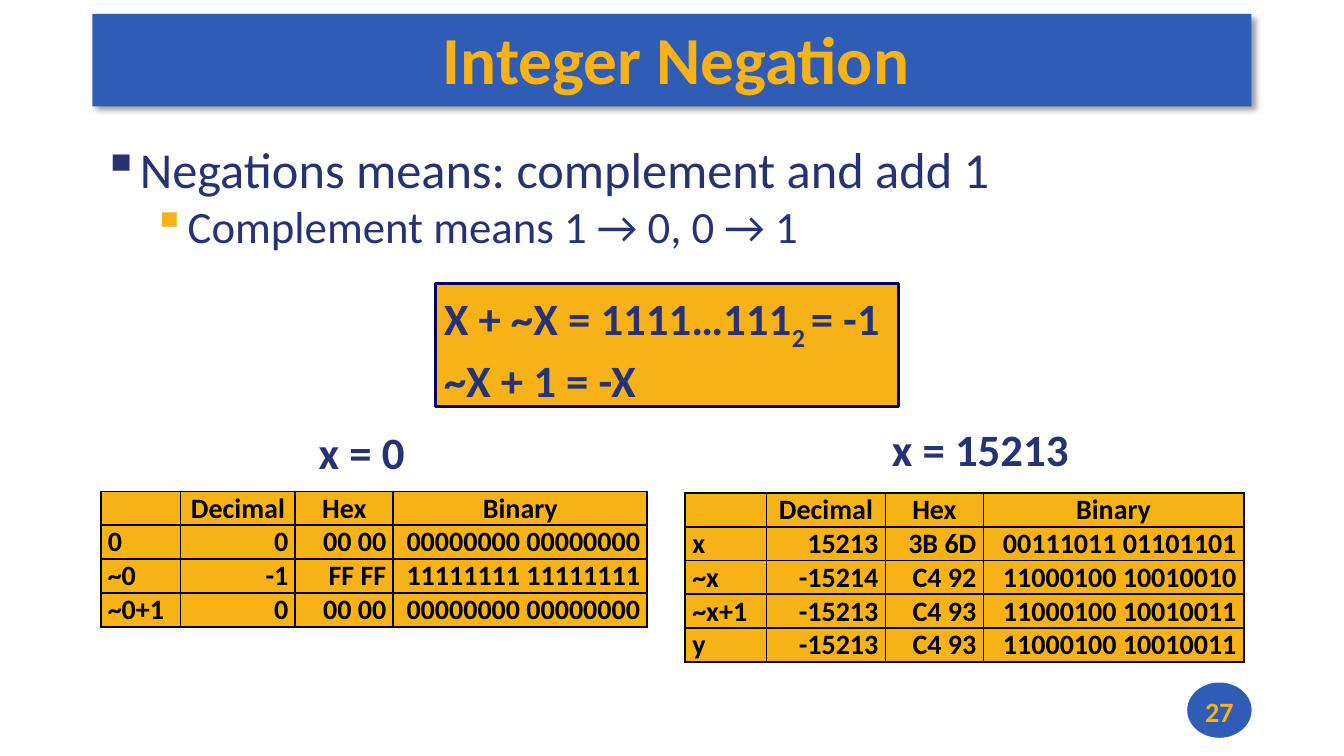
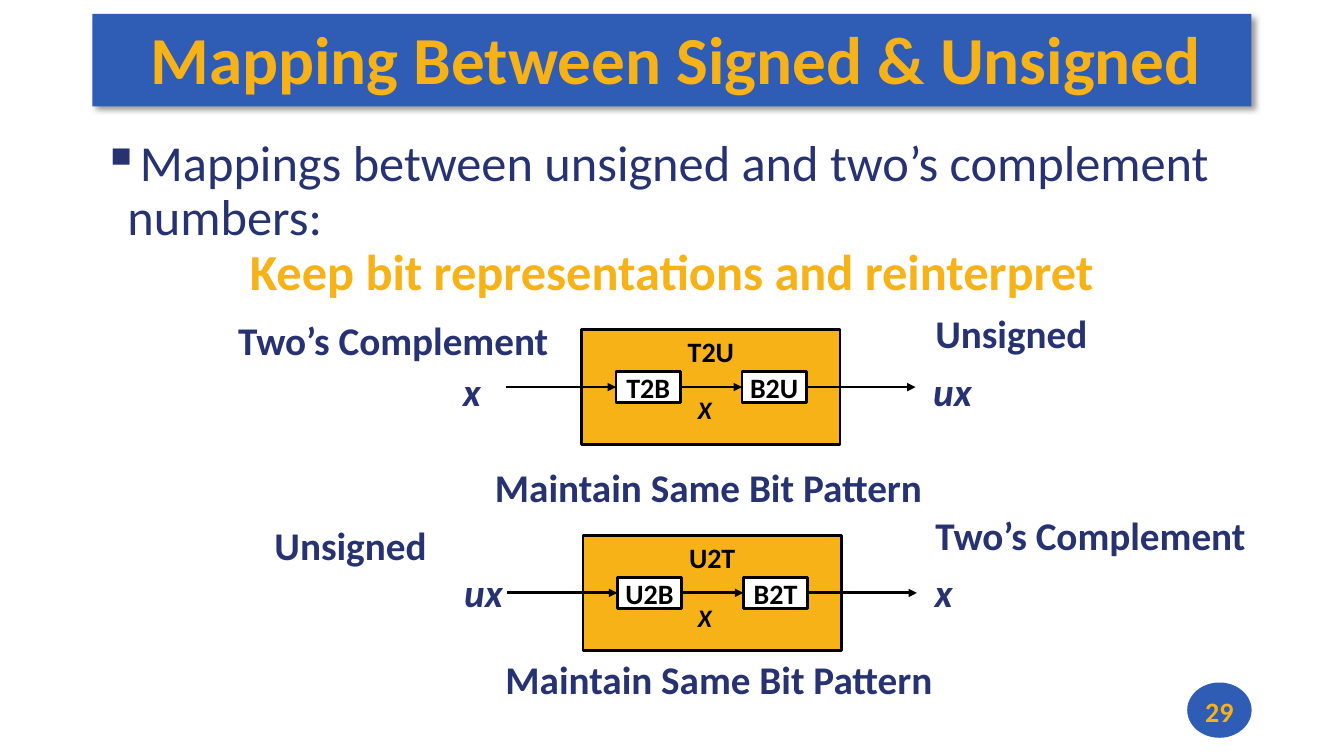
from lxml.etree import SubElement
from pptx import Presentation
from pptx.dml.color import RGBColor
from pptx.enum.shapes import MSO_CONNECTOR, MSO_SHAPE
from pptx.enum.text import MSO_ANCHOR, PP_ALIGN
from pptx.oxml import parse_xml
from pptx.oxml.ns import nsdecls, qn
from pptx.util import Pt

# Shared look
BLUE = RGBColor(0x2F, 0x5C, 0xB5)
GOLD = RGBColor(0xF7, 0xB2, 0x17)
NAVY = RGBColor(0x27, 0x32, 0x72)
DEEP_NAVY = RGBColor(0x00, 0x00, 0x66)
BLACK = RGBColor(0, 0, 0)
WHITE = RGBColor(0xFF, 0xFF, 0xFF)
FONT = "Calibri"
BANNER = (66, 10, 828, 66)
BADGE = (848, 487.5, 46, 39.5)
INSETS = (7.2, 3.6, 7.2, 3.6)
ROW_HEIGHT = 24.2

# Slide 1 content
NEGATION_POINTS = [
    # text, level, left margin, hanging indent, size, bullet colour
    ("Negations means: complement and add 1", 0, 20, 20, 36, NAVY),
    ("Complement means 1 → 0, 0 → 1", 1, 61, 25, 32, GOLD),
]
FORMULA_BOX = (311, 202.5, 331, 88)
FORMULAS = [[("X + ~X = 1111…111", 0), ("2 ", -25), ("= -1", 0)],
            [("~X + 1 = -X", 0)]]
HEADER = ("", "Decimal", "Hex", "Binary")
EXAMPLES = [
    {"label": "x = 0", "label_box": (220.5, 300, 76.5, 46),
     "corner": (72, 351), "columns": (57, 82, 70, 181.5),
     "rows": [("0", "0", "00 00", "00000000 00000000"),
              ("~0", "-1", "FF FF", "11111111 11111111"),
              ("~0+1", "0", "00 00", "00000000 00000000")]},
    {"label": "x = 15213", "label_box": (630, 298, 141, 46),
     "corner": (489.5, 352), "columns": (58, 85, 70, 186),
     "rows": [("x", "15213", "3B 6D", "00111011 01101101"),
              ("~x", "-15214", "C4 92", "11000100 10010010"),
              ("~x+1", "-15213", "C4 93", "11000100 10010011"),
              ("y", "-15213", "C4 93", "11000100 10010011")]},
]

# Slide 2 content
MAPPING_POINT = "Mappings between unsigned and two’s complement numbers:"
MAPPING_RULE = "Keep bit representations and reinterpret"
TWOS, UNSIGNED, SAME = "Two’s Complement", "Unsigned", "Maintain Same Bit Pattern"
LABEL_WIDTHS = {TWOS: 238, UNSIGNED: 124, SAME: 324, "x": 27.5, "ux": 42.5}
MAPPINGS = [
    {"corner": (415.5, 235.5), "name": "T2U", "steps": ("T2B", "B2U"),
     "bits_top": 278,
     "labels": [(TWOS, 163, 222.5), (UNSIGNED, 661, 217.5), (SAME, 346.5, 327.5)],
     "values": [("x", 323.5, 258.5), ("ux", 659.5, 258.5)]},
    {"corner": (416.5, 382.5), "name": "U2T", "steps": ("U2B", "B2T"),
     "bits_top": 427,
     "labels": [(UNSIGNED, 189, 368.5), (TWOS, 661, 362), (SAME, 354, 464.5)],
     "values": [("ux", 324.5, 402.5), ("x", 660.5, 402.5)]},
]


def style(paragraph, size, color, bold=False, italic=False):
    for span in paragraph.runs:
        font = span.font
        font.name, font.size, font.bold, font.italic = FONT, Pt(size), bold, italic
        font.color.rgb = color


def set_frame(frame, anchor=MSO_ANCHOR.TOP, insets=INSETS, wrap=True):
    frame.word_wrap = wrap
    frame.vertical_anchor = anchor
    (frame.margin_left, frame.margin_top,
     frame.margin_right, frame.margin_bottom) = map(Pt, insets)
    return frame


def add_box(page, kind, place, fill, line=None):
    box = page.shapes.add_shape(kind, *map(Pt, place))
    box.shadow.inherit = False
    box.fill.solid()
    box.fill.fore_color.rgb = fill
    if line is None:
        box.line.fill.background()
    else:
        box.line.color.rgb = line
        box.line.width = Pt(2)
    return box


def write_centred(box, text, size, color, **layout):
    paragraph = set_frame(box.text_frame, **layout).paragraphs[0]
    paragraph.text = text
    paragraph.alignment = PP_ALIGN.CENTER
    style(paragraph, size, color, bold=True)


def add_text_box(page, place, wrap=True):
    return set_frame(page.shapes.add_textbox(*map(Pt, place)).text_frame, wrap=wrap)


def add_label(page, text, place, size, color=NAVY, italic=False):
    paragraph = add_text_box(page, place, wrap=False).paragraphs[0]
    paragraph.text = text
    style(paragraph, size, color, bold=True, italic=italic)


def add_bullet(paragraph, margin, hanging, color):
    properties = paragraph._p.get_or_add_pPr()
    properties.set("marL", str(Pt(margin)))
    properties.set("indent", str(-Pt(hanging)))
    tint = SubElement(SubElement(properties, qn("a:buClr")), qn("a:srgbClr"))
    tint.set("val", str(color))
    SubElement(properties, qn("a:buChar")).set("char", "▪")


def add_page(deck, title, number):
    page = deck.slides.add_slide(deck.slide_layouts[6])
    banner = add_box(page, MSO_SHAPE.RECTANGLE, BANNER, BLUE)
    effects = banner._element.spPr.find(qn("a:effectLst"))
    effects.append(parse_xml(
        f'<a:outerShdw {nsdecls("a")} blurRad="{Pt(4)}" dist="{Pt(3)}" dir="2700000" '
        'algn="tl" rotWithShape="0"><a:srgbClr val="000000"><a:alpha val="40000"/>'
        '</a:srgbClr></a:outerShdw>'))
    write_centred(banner, title, 48, GOLD, anchor=MSO_ANCHOR.MIDDLE,
                  insets=(6, 2, 0, 5))
    badge = add_box(page, MSO_SHAPE.OVAL, BADGE, BLUE)
    write_centred(badge, number, 20, GOLD, anchor=MSO_ANCHOR.MIDDLE,
                  insets=(0, 1, 0, 0), wrap=False)
    return page


def fill_cell(cell, text, align):
    cell.margin_left = cell.margin_right = Pt(5)
    cell.margin_top = cell.margin_bottom = 0
    paragraph = cell.text_frame.paragraphs[0]
    paragraph.text = text
    paragraph.alignment = align
    style(paragraph, 20, BLACK, bold=True)
    properties = cell._tc.get_or_add_tcPr()
    for side in ("lnL", "lnR", "lnT", "lnB"):
        properties.append(parse_xml(
            f'<a:{side} {nsdecls("a")} w="{Pt(1.5)}"><a:solidFill>'
            f'<a:srgbClr val="{BLACK}"/></a:solidFill></a:{side}>'))
    cell.fill.solid()
    cell.fill.fore_color.rgb = GOLD


def add_bits_table(page, corner, columns, rows):
    rows = [HEADER, *rows]
    place = (*corner, sum(columns), ROW_HEIGHT * len(rows))
    table = page.shapes.add_table(len(rows), len(columns), *map(Pt, place)).table
    table.first_row = table.horz_banding = False
    for column, width in zip(table.columns, columns):
        column.width = Pt(width)
    for r, values in enumerate(rows):
        table.rows[r].height = Pt(ROW_HEIGHT)
        for c, value in enumerate(values):
            body_align = PP_ALIGN.RIGHT if c else PP_ALIGN.LEFT
            fill_cell(table.cell(r, c), value, body_align if r else PP_ALIGN.CENTER)


def add_arrow(page, start_x, end_x, y, source=None, target=None):
    arrow = page.shapes.add_connector(
        MSO_CONNECTOR.STRAIGHT, Pt(start_x), Pt(y), Pt(end_x), Pt(y))
    if source is not None:
        arrow.begin_connect(source, 3)
    if target is not None:
        arrow.end_connect(target, 1)
    arrow.line.color.rgb = BLACK
    arrow.line.width = Pt(2)
    SubElement(arrow.line._get_or_add_ln(), qn("a:tailEnd")).set("type", "triangle")
    SubElement(arrow._element.spPr, qn("a:effectLst"))


def add_mapping(page, mapping):
    left, top = mapping["corner"]
    outer = add_box(page, MSO_SHAPE.RECTANGLE, (left, top, 184.5, 82), GOLD, BLACK)
    write_centred(outer, mapping["name"], 20, BLACK, wrap=False)

    # Two conversion steps with arrows in, between and out
    steps = []
    for index, name in enumerate(mapping["steps"]):
        place = (left + 24.5 + 90 * index, top + 30, 46, 22)
        step = add_box(page, MSO_SHAPE.RECTANGLE, place, WHITE, BLACK)
        write_centred(step, name, 20, BLACK, anchor=MSO_ANCHOR.MIDDLE, wrap=False)
        steps.append(step)
    first, second = steps
    y = top + 41
    add_arrow(page, left - 54, left + 24.5, y, target=first)
    add_arrow(page, left + 70.5, left + 114.5, y, first, second)
    add_arrow(page, left + 160.5, left + 238.5, y, source=second)

    # Captions and values
    for group, italic in (("labels", False), ("values", True)):
        for text, x, label_top in mapping[group]:
            place = (x, label_top, LABEL_WIDTHS[text], 41)
            add_label(page, text, place, 28, italic=italic)
    add_label(page, "X", (491.5, mapping["bits_top"], 24.5, 29), 18, BLACK, italic=True)


def build_negation(deck):
    page = add_page(deck, "Integer Negation", "27")
    frame = add_text_box(page, (66, 95, 828, 100))
    frame.text = "\n".join(point[0] for point in NEGATION_POINTS)
    for paragraph, point in zip(frame.paragraphs, NEGATION_POINTS):
        _, level, margin, hanging, size, color = point
        paragraph.level = level
        add_bullet(paragraph, margin, hanging, color)
        style(paragraph, size, NAVY)

    # Formula box
    box = add_box(page, MSO_SHAPE.RECTANGLE, FORMULA_BOX, GOLD, DEEP_NAVY)
    frame = set_frame(box.text_frame, MSO_ANCHOR.MIDDLE, (6, 5, 0, 0))
    for index, parts in enumerate(FORMULAS):
        paragraph = frame.add_paragraph() if index else frame.paragraphs[0]
        paragraph.alignment = PP_ALIGN.LEFT
        for text, baseline in parts:
            span = paragraph.add_run()
            span.text = text
            if baseline:
                span._r.get_or_add_rPr().set("baseline", str(baseline * 1000))
        style(paragraph, 32, NAVY, bold=True)

    # Worked examples
    for example in EXAMPLES:
        add_label(page, example["label"], example["label_box"], 32)
        add_bits_table(page, example["corner"], example["columns"], example["rows"])


def build_mapping(deck):
    page = add_page(deck, "Mapping Between Signed & Unsigned", "29")
    frame = add_text_box(page, (66, 95, 828, 127))
    frame.text = f"{MAPPING_POINT}\n{MAPPING_RULE}"
    point, rule = frame.paragraphs
    point.line_spacing = rule.line_spacing = 0.9
    add_bullet(point, 18, 18, NAVY)
    style(point, 36, NAVY)
    rule.alignment = PP_ALIGN.CENTER
    style(rule, 36, GOLD, bold=True)
    for mapping in MAPPINGS:
        add_mapping(page, mapping)


def main():
    deck = Presentation()
    deck.slide_width, deck.slide_height = Pt(960), Pt(540)
    build_negation(deck)
    build_mapping(deck)
    deck.save("out.pptx")


if __name__ == "__main__":
    main()
